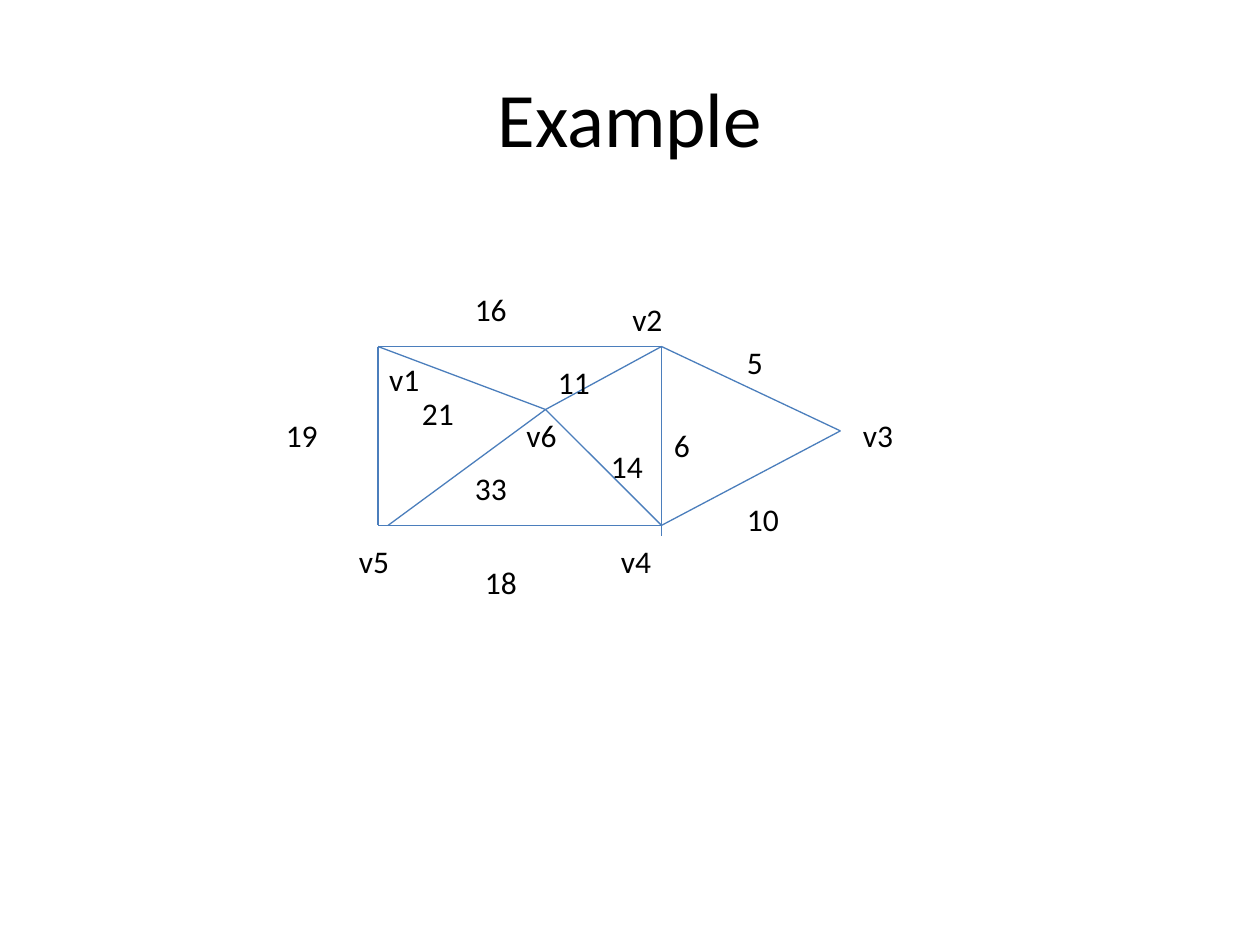
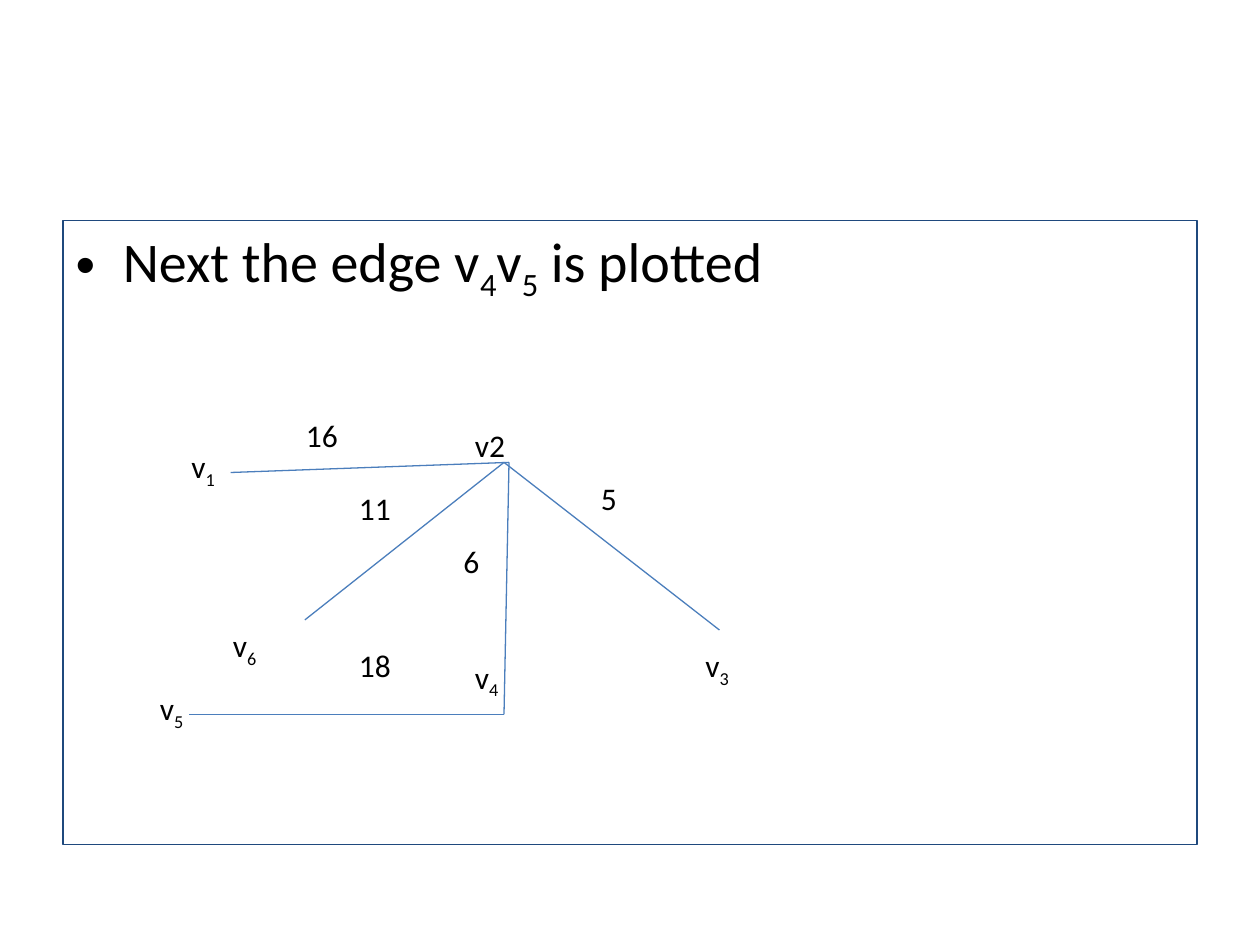
from lxml.etree import SubElement
from pptx import Presentation
from pptx.dml.color import RGBColor as RGB
from pptx.enum.shapes import MSO_CONNECTOR as CONNECTOR
from pptx.enum.text import MSO_ANCHOR as ANCHOR, PP_ALIGN as ALIGN
from pptx.oxml.ns import qn
from pptx.util import Inches, Pt

COLORS = {"text": "000000", "edge": "4B7EBC", "frame": "1F497D"}
FONT = "Calibri"
TITLE_ONLY, TITLE_AND_CONTENT = 5, 1
TITLE_BOX = (0.5, 0.3, 9, 1.25)
BODY_BOX = (0.5, 1.75, 9, 4.95)
LABEL_HEIGHT = 0.4

# Vertices and edge ends: (x, y)
GRAPH = {"v1": (3, 2.75), "v2": (5.25, 2.75), "v3": (6.67, 3.42),
         "v4": (5.25, 4.17), "v5": (3, 4.17), "v6": (4.33, 3.25)}
GRAPH_EDGES = [("v1", "v5"), ("v1", "v2"), ("v5", "v4"), ("v2", "v3"),
               ("v4", "v3"), ("v1", "v6"), ("v6", "v4"), ("v6", "v2")]
# These two edges stop beside their vertex
LOOSE_EDGES = [(GRAPH["v2"], (5.25, 4.25)), (GRAPH["v6"], (3.08, 4.17))]

# Labels: (text, left, top, width)
GRAPH_LABELS = [
    ("v1", 2.99, 2.81, 0.5), ("v2", 4.92, 2.33, 0.67), ("v3", 6.75, 3.25, 0.83),
    ("v4", 4.83, 4.25, 1.08), ("v5", 2.75, 4.25, 0.75), ("v6", 4.08, 3.25, 0.75),
    ("19", 2.17, 3.25, 0.83), ("16", 3.67, 2.25, 0.83), ("18", 3.75, 4.42, 0.83),
    ("5", 5.83, 2.67, 0.83), ("10", 5.83, 3.92, 0.67), ("6", 5.25, 3.33, 0.5),
    ("21", 3.25, 3.08, 0.58), ("33", 3.67, 3.67, 0.58), ("11", 4.33, 2.83, 0.46),
    ("14", 4.75, 3.5, 0.5),
]

TREE_EDGES = [
    ((4, 3.67), (5.71, 5)), ((4, 3.67), (2.42, 4.92)), ((1.83, 3.75), (4.04, 3.67)),
    ((4.04, 3.67), (4, 5.67)), ((1.5, 5.67), (4, 5.67)),
]
TREE_LABELS = [
    ("v_1", 1.42, 3.5, 0.92), ("v2", 3.67, 3.33, 0.58), ("v_3", 5.5, 5.08, 1.92),
    ("v_4", 3.67, 5.17, 1.92), ("v_5", 1.17, 5.42, 0.92), ("v_6", 1.75, 4.92, 1.92),
    ("16", 2.33, 3.25, 0.92), ("11", 2.75, 3.83, 0.92), ("5", 4.67, 3.75, 0.92),
    ("6", 3.58, 4.25, 0.75), ("18", 2.75, 5.08, 0.92),
]


def color(name):
    return RGB.from_string(COLORS[name])


def add_run(p, text, size, subscript=False):
    r = p.add_run()
    r.text = text
    for name, value in {"name": FONT, "size": Pt(size)}.items():
        setattr(r.font, name, value)
    r.font.color.rgb = color("text")
    if subscript:
        r.font._element.set("baseline", "-25000")


def write(p, text, size):
    """Fill a paragraph; the character after each underscore is a subscript."""
    first, *rest = text.split("_")
    add_run(p, first, size)
    for part in rest:
        add_run(p, part[0], size, subscript=True)
        if part[1:]:
            add_run(p, part[1:], size)


def style_line(line, name):
    line.color.rgb = color(name)
    line.width = Pt(0.75)


def place(sp, box):
    for name, value in zip(("left", "top", "width", "height"), box):
        setattr(sp, name, Inches(value))


def set_title(s, text):
    sp = s.shapes.title
    place(sp, TITLE_BOX)
    tf = sp.text_frame
    tf.vertical_anchor = ANCHOR.MIDDLE
    p = tf.paragraphs[0]
    p.alignment = ALIGN.CENTER
    write(p, text, 44)


def set_framed_body(s, text):
    sp = s.placeholders[1]
    place(sp, BODY_BOX)
    style_line(sp.line, "frame")
    write(sp.text_frame.paragraphs[0], text, 32)


def add_edge(s, start, end):
    ends = [Inches(v) for v in (*start, *end)]
    edge = s.shapes.add_connector(CONNECTOR.STRAIGHT, *ends)
    style_line(edge.line, "edge")
    SubElement(edge._element.spPr, qn("a:effectLst"))


def add_label(s, text, left, top, width):
    box = [Inches(v) for v in (left, top, width, LABEL_HEIGHT)]
    tf = s.shapes.add_textbox(*box).text_frame
    tf.word_wrap = True
    write(tf.paragraphs[0], text, 18)


def draw_graph(s, edges, labels):
    for start, end in edges:
        add_edge(s, start, end)
    for label in labels:
        add_label(s, *label)


def add_example_slide(prs):
    s = prs.slides.add_slide(prs.slide_layouts[TITLE_ONLY])
    set_title(s, "Example")
    edges = [(GRAPH[a], GRAPH[b]) for a, b in GRAPH_EDGES]
    draw_graph(s, edges + LOOSE_EDGES, GRAPH_LABELS)


def add_tree_slide(prs):
    s = prs.slides.add_slide(prs.slide_layouts[TITLE_AND_CONTENT])
    title = s.shapes.title._element
    title.getparent().remove(title)
    set_framed_body(s, "Next the edge v_4v_5 is plotted")
    draw_graph(s, TREE_EDGES, TREE_LABELS)


def main():
    prs = Presentation()
    prs.slide_width, prs.slide_height = Inches(10), Inches(7.5)
    add_example_slide(prs)
    add_tree_slide(prs)
    prs.save("out.pptx")


if __name__ == "__main__":
    main()
